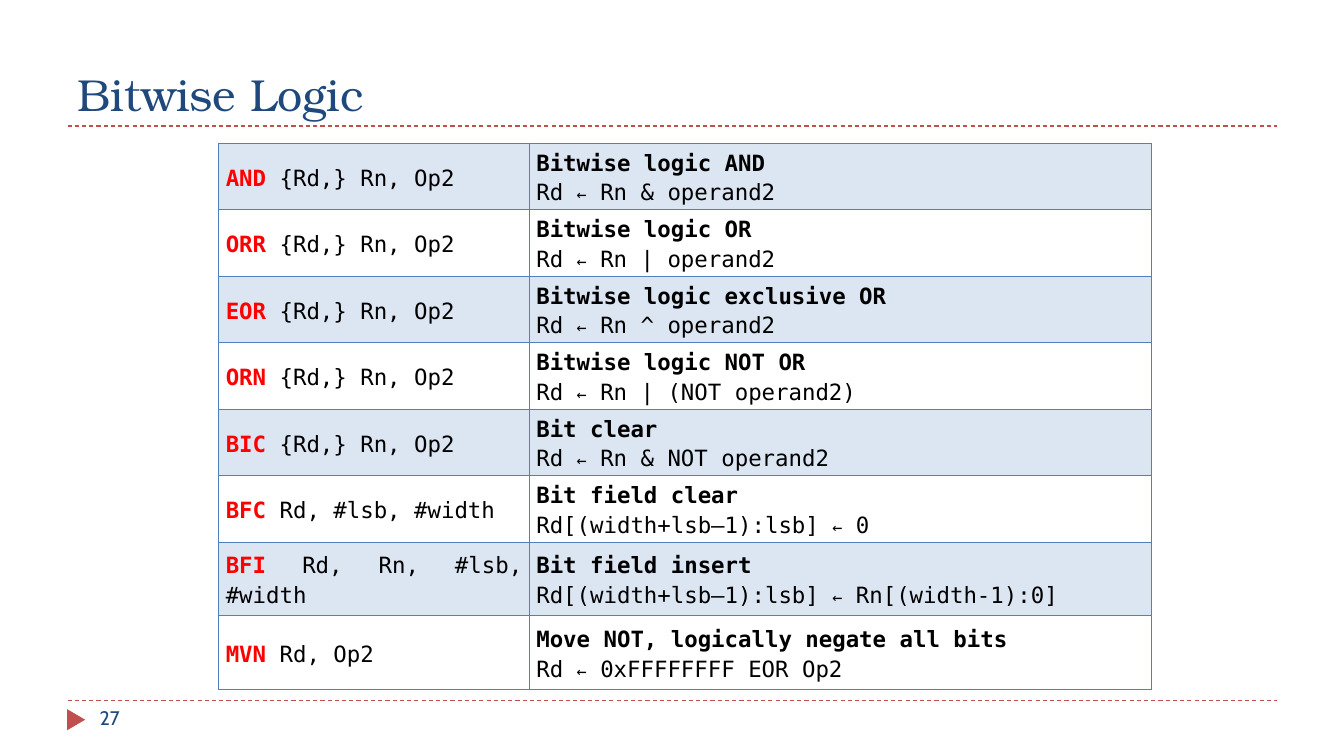
from dataclasses import dataclass

from lxml import etree
from pptx import Presentation
from pptx.dml.color import RGBColor
from pptx.enum.dml import MSO_LINE
from pptx.enum.shapes import MSO_CONNECTOR, MSO_SHAPE
from pptx.enum.text import MSO_ANCHOR, PP_ALIGN
from pptx.oxml import parse_xml
from pptx.oxml.ns import nsdecls, qn
from pptx.util import Inches, Pt

DASH = MSO_LINE.DASH
STRAIGHT = MSO_CONNECTOR.STRAIGHT
TRIANGLE = MSO_SHAPE.ISOSCELES_TRIANGLE
MIDDLE, BOTTOM = MSO_ANCHOR.MIDDLE, MSO_ANCHOR.BOTTOM
LEFT, JUSTIFY = PP_ALIGN.LEFT, PP_ALIGN.JUSTIFY

TITLE = "Bitwise Logic"
PAGE = "27"
ARROW = "←"
# Mnemonic, operands, meaning, target, value
OPS = [
    ("AND", "{Rd,} Rn, Op2", "Bitwise logic AND", "Rd", "Rn & operand2"),
    ("ORR", "{Rd,} Rn, Op2", "Bitwise logic OR", "Rd", "Rn | operand2"),
    ("EOR", "{Rd,} Rn, Op2", "Bitwise logic exclusive OR", "Rd", "Rn ^ operand2"),
    ("ORN", "{Rd,} Rn, Op2", "Bitwise logic NOT OR", "Rd", "Rn | (NOT operand2)"),
    ("BIC", "{Rd,} Rn, Op2", "Bit clear", "Rd", "Rn & NOT operand2"),
    ("BFC", "Rd, #lsb, #width", "Bit field clear", "Rd[(width+lsb–1):lsb]", "0"),
    ("BFI", "Rd, Rn, #lsb, #width", "Bit field insert",
     "Rd[(width+lsb–1):lsb]", "Rn[(width-1):0]"),
    ("MVN", "Rd, Op2", "Move NOT, logically negate all bits",
     "Rd", "0xFFFFFFFF EOR Op2"),
]
COLS = (3.08, 6.17)
ROWS = [0.66] * 6 + [0.73] * 2
RULES = (1.25, 6.95)


@dataclass(frozen=True)
class Theme:
    navy: RGBColor = RGBColor(0x1F, 0x49, 0x7D)
    brick: RGBColor = RGBColor(0xC0, 0x50, 0x4D)
    red: RGBColor = RGBColor(0xFF, 0, 0)
    black: RGBColor = RGBColor(0, 0, 0)
    band: RGBColor = RGBColor(0xDC, 0xE6, 0xF2)
    grid: str = "4F81BD"
    serif: str = "TeX Gyre Bonum"
    sans: str = "Cabin"
    mono: str = "DejaVu Sans Mono"
    head: Pt = Pt(32)
    page: Pt = Pt(14)
    code: Pt = Pt(16)
    arrow: Pt = Pt(12)


theme = Theme()


def style(para, face, size, color):
    font = para.font
    font.name, font.size, font.color.rgb = face, size, color


def add_rule(slide, y):
    rule = slide.shapes.add_connector(
        STRAIGHT, Inches(0.67), Inches(y), Inches(12.67), Inches(y))
    rule.line.color.rgb = theme.brick
    rule.line.width = Pt(0.75)
    rule.line.dash_style = DASH
    etree.SubElement(rule.element.spPr, qn("a:effectLst"))


def add_code(para, *parts):
    """Write one line of code; return its runs."""
    para.alignment, para.line_spacing = JUSTIFY, 1.15
    style(para, theme.mono, theme.code, theme.black)
    runs = []
    for part in parts:
        run = para.add_run()
        run.text = part
        runs.append(run)
    return runs


def set_cell(cell, shaded):
    cell.vertical_anchor = MIDDLE
    cell.margin_left = cell.margin_right = Inches(0.07)
    cell.margin_top = cell.margin_bottom = 0
    if shaded:
        cell.fill.solid()
        cell.fill.fore_color.rgb = theme.band
    else:
        cell.fill.background()
    props = cell._tc.get_or_add_tcPr()
    for spot, side in enumerate("LRTB"):
        props.insert(spot, parse_xml(
            f'<a:ln{side} {nsdecls("a")} w="{Pt(1)}"><a:solidFill>'
            f'<a:srgbClr val="{theme.grid}"/></a:solidFill></a:ln{side}>'))


def add_ops(slide):
    table = slide.shapes.add_table(
        len(OPS), len(COLS), Inches(2.17), Inches(1.42),
        Inches(sum(COLS)), Inches(sum(ROWS))).table
    table.first_row = table.horz_banding = False
    for col, width in zip(table.columns, COLS):
        col.width = Inches(width)
    for i, (name, args, sense, dest, value) in enumerate(OPS):
        table.rows[i].height = Inches(ROWS[i])
        left, right = table.cell(i, 0), table.cell(i, 1)
        for cell in (left, right):
            set_cell(cell, i % 2 == 0)
        code = add_code(left.text_frame.paragraphs[0], name + " ", args)
        code[0].font.bold = True
        code[0].font.color.rgb = theme.red
        frame = right.text_frame
        add_code(frame.paragraphs[0], sense)[0].font.bold = True
        code = add_code(frame.add_paragraph(), dest + " ", ARROW, " " + value)
        code[1].font.size = theme.arrow


def add_title(slide):
    title = slide.shapes.title
    title.left, title.top = Inches(0.67), Inches(0.17)
    title.width, title.height = Inches(12), Inches(1.08)
    frame = title.text_frame
    frame.text, frame.vertical_anchor = TITLE, BOTTOM
    para = frame.paragraphs[0]
    para.alignment = LEFT
    style(para, theme.serif, theme.head, theme.navy)


def add_page(slide):
    mark = slide.shapes.add_shape(
        TRIANGLE, Inches(0.65), Inches(7.05), Inches(0.21), Inches(0.18))
    mark.rotation = 90
    mark.shadow.inherit = False
    mark.fill.solid()
    mark.fill.fore_color.rgb = theme.brick
    mark.line.fill.background()
    box = slide.shapes.add_textbox(
        Inches(0.89), Inches(6.95), Inches(2.89), Inches(0.4))
    frame = box.text_frame
    frame.word_wrap = True
    frame.text = PAGE
    style(frame.paragraphs[0], theme.sans, theme.page, theme.navy)


def main():
    deck = Presentation()
    deck.slide_width, deck.slide_height = Inches(13.33), Inches(7.5)
    slide = deck.slides.add_slide(deck.slide_layouts[5])
    for y in RULES:
        add_rule(slide, y)
    add_title(slide)
    add_page(slide)
    add_ops(slide)
    deck.save("out.pptx")


if __name__ == "__main__":
    main()
